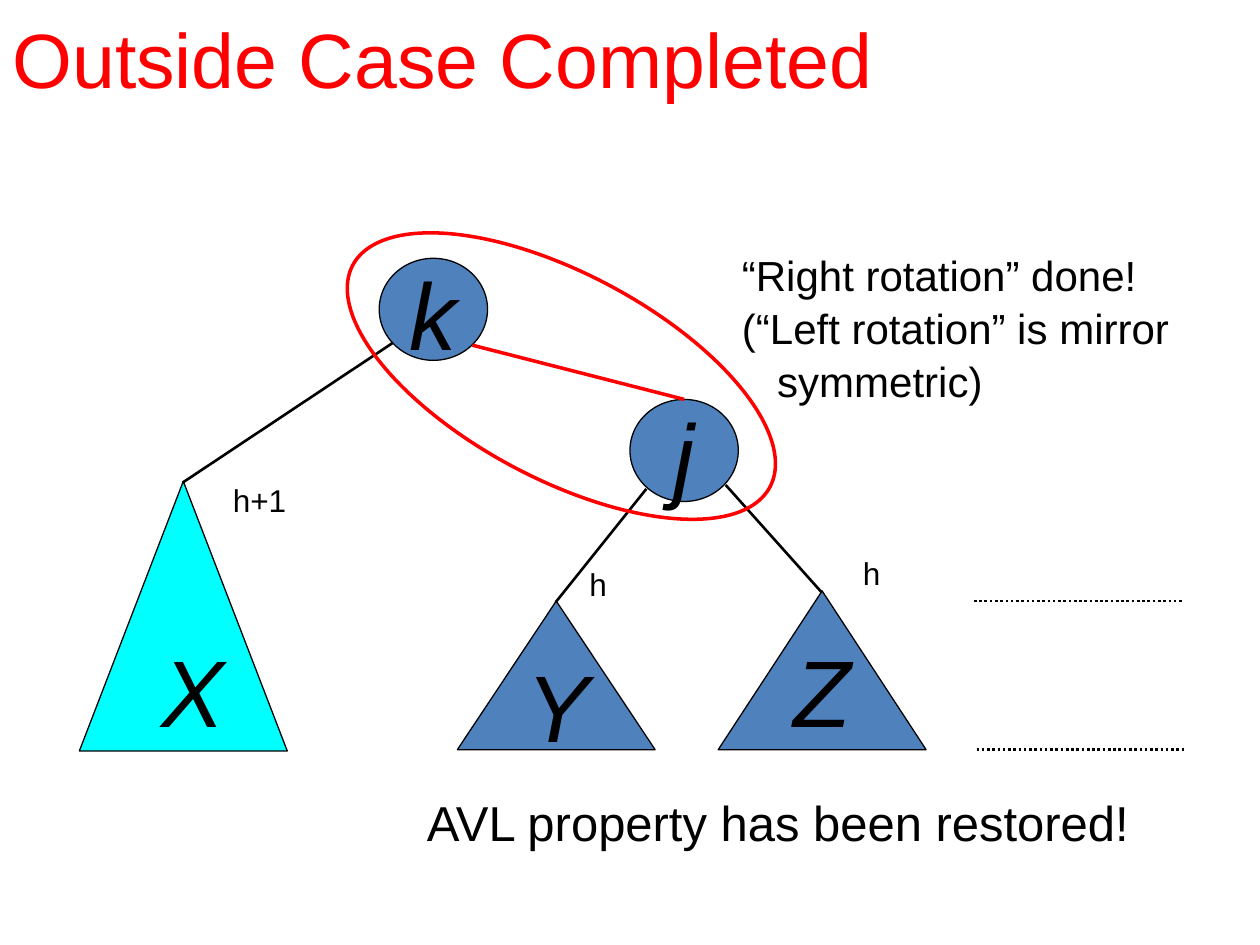
import pptx
import pptx.util
import pptx.dml.color
import pptx.enum.dml
import pptx.enum.shapes
import pptx.enum.text
from lxml import etree

Inches, Pt = pptx.util.Inches, pptx.util.Pt
SHAPE = pptx.enum.shapes.MSO_SHAPE
ANCHOR = pptx.enum.text.MSO_ANCHOR
ALIGN = pptx.enum.text.PP_ALIGN
BLACK, RED, BLUE, CYAN = "000000", "FF0000", "4F81BD", "00FFFF"
A_NS = "http://schemas.openxmlformats.org/drawingml/2006/main"


def rgb(hex_color):
    return pptx.dml.color.RGBColor.from_string(hex_color)


def write(frame, text, size, color=BLACK, italic=False, before=0):
    frame.text = text
    for paragraph in frame.paragraphs:
        paragraph.line_spacing = 1.05
        paragraph.space_before = Pt(before)
        for run in paragraph.runs:
            run.font.name = "Arial"
            run.font.size = Pt(size)
            run.font.italic = italic
            run.font.color.rgb = rgb(color)


def add_text(slide, box, text, size, wrap=False, **style):
    frame = slide.shapes.add_textbox(*map(Inches, box)).text_frame
    frame.word_wrap = wrap
    write(frame, text, size, **style)
    return frame


def add_outline(slide, kind, box, fill=None, line=BLACK, width=0.75):
    shape = slide.shapes.add_shape(kind, *map(Inches, box))
    shape.shadow.inherit = False
    if fill:
        shape.fill.solid()
        shape.fill.fore_color.rgb = rgb(fill)
    else:
        shape.fill.background()
    shape.line.color.rgb = rgb(line)
    shape.line.width = Pt(width)
    return shape


def add_line(slide, start, end, color=BLACK, width=1.5, dotted=False):
    line = slide.shapes.add_connector(
        pptx.enum.shapes.MSO_CONNECTOR.STRAIGHT, *map(Inches, start + end))
    line.line.color.rgb = rgb(color)
    line.line.width = Pt(width)
    if dotted:
        line.line.dash_style = pptx.enum.dml.MSO_LINE.ROUND_DOT
    etree.SubElement(line._element.spPr, "{%s}effectLst" % A_NS)


def add_letter(slide, left, top, letter):
    add_text(slide, (left, top, 0.53, 1), letter, 54, wrap=True, italic=True, before=3)


def add_subtree(slide, box, letter, letter_offset, fill):
    left, top = box[:2]
    add_outline(slide, SHAPE.ISOSCELES_TRIANGLE, box, fill)
    add_letter(slide, left + letter_offset[0], top + letter_offset[1], letter)


def add_tree(slide, left, top):
    def at(x, y):
        return left + x, top + y

    # Nodes
    node_size = (0.86, 0.81)
    node_j = add_outline(slide, SHAPE.OVAL, at(4.37, 1.12) + node_size, BLUE).text_frame
    node_j.word_wrap = False
    node_j.vertical_anchor = ANCHOR.MIDDLE
    write(node_j, "j", 54, italic=True, before=3)
    node_j.paragraphs[0].alignment = ALIGN.CENTER
    add_outline(slide, SHAPE.OVAL, at(2.38, 0) + node_size, BLUE)
    add_letter(slide, *at(2.52, -0.11), "k")

    # Subtrees
    for position, size, letter, offset, fill in (
            ((0, 1.77), (1.65, 2.14), "X", (0.55, 1.11), CYAN),
            ((3, 2.72), (1.57, 1.18), "Y", (0.45, 0.28), BLUE),
            ((5.07, 2.64), (1.65, 1.26), "Z", (0.5, 0.24), BLUE)):
        add_subtree(slide, at(*position) + size, letter, offset, fill)

    # Edges
    for start, end in (((0.82, 1.78), (2.49, 0.67)),
                       ((4.5, 1.83), (3.78, 2.73)),
                       ((5.13, 1.8), (5.89, 2.65))):
        add_line(slide, at(*start), at(*end))

    # Rotated pair
    add_line(slide, at(3.12, 0.69), at(4.8, 1.12), RED, 2)
    pair = add_outline(slide, SHAPE.OVAL, at(1.95, 0.12) + (3.75, 1.63), line=RED, width=2)
    pair.rotation = 28

    # Heights
    for position, width, height in (((6.12, 2.28), 0.36, "h"),
                                    ((1.12, 1.7), 0.67, "h+1"),
                                    ((3.95, 2.37), 0.36, "h")):
        add_text(slide, at(*position) + (width, 0.43), height, 18)


def add_levels(slide, left, top):
    for shift, drop in ((0, 0), (0.02, 1.18)):
        start = (left + shift, top + drop)
        add_line(slide, start, (start[0] + 1.65, start[1]), dotted=True)


def add_remarks(slide, left, top):
    rotation = add_text(
        slide, (left + 2.5, top, 3.59, 1.3),
        "\u201cRight rotation\u201d done!\n(\u201cLeft rotation\u201d is mirror\nsymmetric)", 24)
    rotation.paragraphs[2]._p.get_or_add_pPr().set("marL", str(Inches(0.28)))
    add_text(slide, (left, top + 4.31, 5.83, 0.57), "AVL property has been restored!", 28)


def add_title(slide, box):
    title = add_text(slide, box, "Outside Case Completed", 44, wrap=True, color=RED)
    title.vertical_anchor = ANCHOR.MIDDLE


deck = pptx.Presentation()
deck.slide_width, deck.slide_height = Inches(10), Inches(7.5)
slide = deck.slides.add_slide(deck.slide_layouts[6])
add_tree(slide, 0.63, 2.05)
add_levels(slide, 7.73, 4.77)
add_remarks(slide, 3.29, 1.91)
add_title(slide, (0, 0, 8.55, 0.88))
deck.save("out.pptx")
